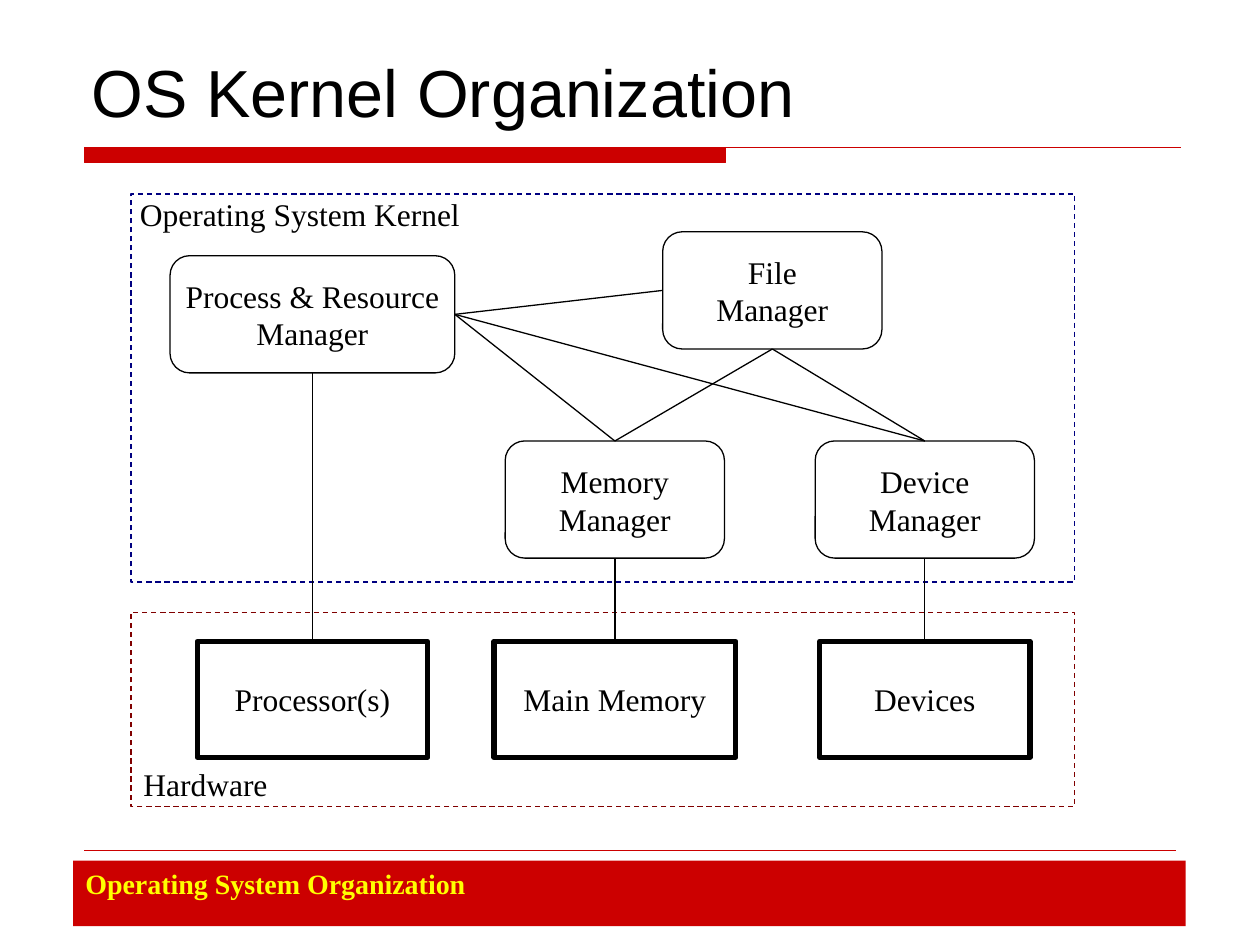
from pptx import Presentation
from pptx.dml.color import RGBColor
from pptx.enum.dml import MSO_LINE
from pptx.enum.shapes import MSO_CONNECTOR, MSO_SHAPE
from pptx.enum.text import MSO_ANCHOR, MSO_AUTO_SIZE, PP_ALIGN
from pptx.oxml.ns import qn
from pptx.util import Inches, Pt
from lxml import etree

RECT, ROUND = MSO_SHAPE.RECTANGLE, MSO_SHAPE.ROUNDED_RECTANGLE
LINE, DASH = MSO_CONNECTOR.STRAIGHT, MSO_LINE.DASH
TOP, MID, LOW = MSO_ANCHOR.TOP, MSO_ANCHOR.MIDDLE, MSO_ANCHOR.BOTTOM
LEFT, MIDDLE = PP_ALIGN.LEFT, PP_ALIGN.CENTER
NO_FIT = MSO_AUTO_SIZE.NONE

RED = RGBColor(0xCC, 0, 0)
NAVY = RGBColor(0, 0, 0x80)
MAROON = RGBColor(0x80, 0, 0)
BLACK = RGBColor(0, 0, 0)
WHITE = RGBColor(0xFF, 0xFF, 0xFF)
YELLOW = RGBColor(0xFF, 0xFF, 0)

COLS, ROWS = 100, 75
CELL = Inches(0.1)
NODE_H, UNIT_H = 9.3, 9.2
N, W, S, E = range(4)

SERIF = {"name": "Times New Roman", "size": Pt(18), "bold": False}
HEAD = {"name": "Arial", "size": Pt(38), "bold": False}
FOOT = {"name": "Times New Roman", "size": Pt(16), "bold": True}


def grid(*cells):
    return [round(c * CELL) for c in cells]


def write(shape, text, font, ink=BLACK, align=MIDDLE, **frame):
    body = shape.text_frame
    body.text = text
    for key, value in frame.items():
        setattr(body, key, value)
    for para in body.paragraphs:
        para.alignment = align
        for key, value in font.items():
            setattr(para.font, key, value)
        para.font.color.rgb = ink


def block(slide, kind, box, fill=None, line=None, width=0.75):
    shape = slide.shapes.add_shape(kind, *grid(*box))
    shape.shadow.inherit = False
    if fill is None:
        shape.fill.background()
    else:
        shape.fill.solid()
        shape.fill.fore_color.rgb = fill
    if line is None:
        shape.line.fill.background()
    else:
        shape.line.color.rgb = line
        shape.line.width = Pt(width)
    return shape


def wire(slide, ends, ink=BLACK, width=0.75):
    link = slide.shapes.add_connector(LINE, *grid(*ends))
    link.line.color.rgb = ink
    link.line.width = Pt(width)
    etree.SubElement(link._element.spPr, qn("a:effectLst"))
    return link


def join(slide, start, side, end, goal):
    link = wire(slide, (0, 0, 0, 0))
    link.begin_connect(start, side)
    link.end_connect(end, goal)


def header(slide, box):
    x, y, w, h = box
    title = slide.shapes.title
    title.left, title.top, title.width, title.height = grid(x, y, w, h)
    write(title, "OS Kernel Organization", HEAD, align=LEFT,
          vertical_anchor=LOW, auto_size=NO_FIT)
    rule = y + h + 0.8
    block(slide, RECT, (x + 0.4, rule, 50.9, 1.2), RED, RED)
    wire(slide, (x + 0.4, rule, x + w - 0.1, rule), RED)


def region(slide, box, text, ink, **frame):
    area = block(slide, RECT, box, line=ink)
    area.line.dash_style = DASH
    write(area, text, SERIF, align=LEFT, word_wrap=True, **frame)


def kernel(slide, box):
    region(slide, box, "Operating System Kernel", NAVY, vertical_anchor=TOP,
           margin_left=Inches(0.07), margin_top=Inches(0.01))
    x, y = box[:2]
    nodes = []
    for text, mid, row, wide in (
            ("Process & Resource\nManager", 14.4, 4.9, 22.6),
            ("File\nManager", 50.9, 3, 17.4),
            ("Memory\nManager", 38.4, 19.6, 17.4),
            ("Device\nManager", 63, 19.6, 17.4)):
        node = block(slide, ROUND, (x + mid - wide / 2, y + row, wide, NODE_H),
                     line=BLACK)
        write(node, text, SERIF, word_wrap=False, vertical_anchor=MID)
        nodes.append(node)
    process, file, memory, device = nodes
    join(slide, process, E, file, W)
    for goal in (memory, device):
        join(slide, process, E, goal, N)
        join(slide, file, S, goal, N)
    return process, memory, device


def hardware(slide, box):
    region(slide, box, "Hardware", MAROON, vertical_anchor=LOW,
           margin_left=Inches(0.1), margin_bottom=Inches(0.03))
    x, y = box[:2]
    units = []
    for text, mid, wide, fill in (("Processor(s)", 14.4, 18.3, None),
                                  ("Main Memory", 38.4, 19.2, WHITE),
                                  ("Devices", 63, 16.7, None)):
        unit = block(slide, RECT, (x + mid - wide / 2, y + 2.3, wide, UNIT_H),
                     fill, BLACK, 3)
        write(unit, text, SERIF, word_wrap=False, vertical_anchor=MID)
        units.append(unit)
    return units


def footer(slide, box):
    x, y, w, h = box
    wire(slide, (x + 0.9, y - 0.8, x + w - 0.8, y - 0.8), RED, 0.25)
    band = block(slide, RECT, box, RED)
    write(band, "Operating System Organization", FOOT, YELLOW, LEFT,
          word_wrap=True, vertical_anchor=TOP)


def main():
    deck = Presentation()
    deck.slide_width, deck.slide_height = grid(COLS, ROWS)
    slide = deck.slides.add_slide(deck.slide_layouts[5])
    header(slide, (6.3, 3.4, 87.5, 7.5))
    tops = kernel(slide, (10.4, 15.4, 74.9, 30.8))
    units = hardware(slide, (10.4, 48.6, 74.9, 15.4))
    for top, unit in zip(tops, units):
        join(slide, unit, N, top, S)
    footer(slide, (5.8, 68.3, 88.3, 5.2))
    deck.save("out.pptx")


if __name__ == "__main__":
    main()
